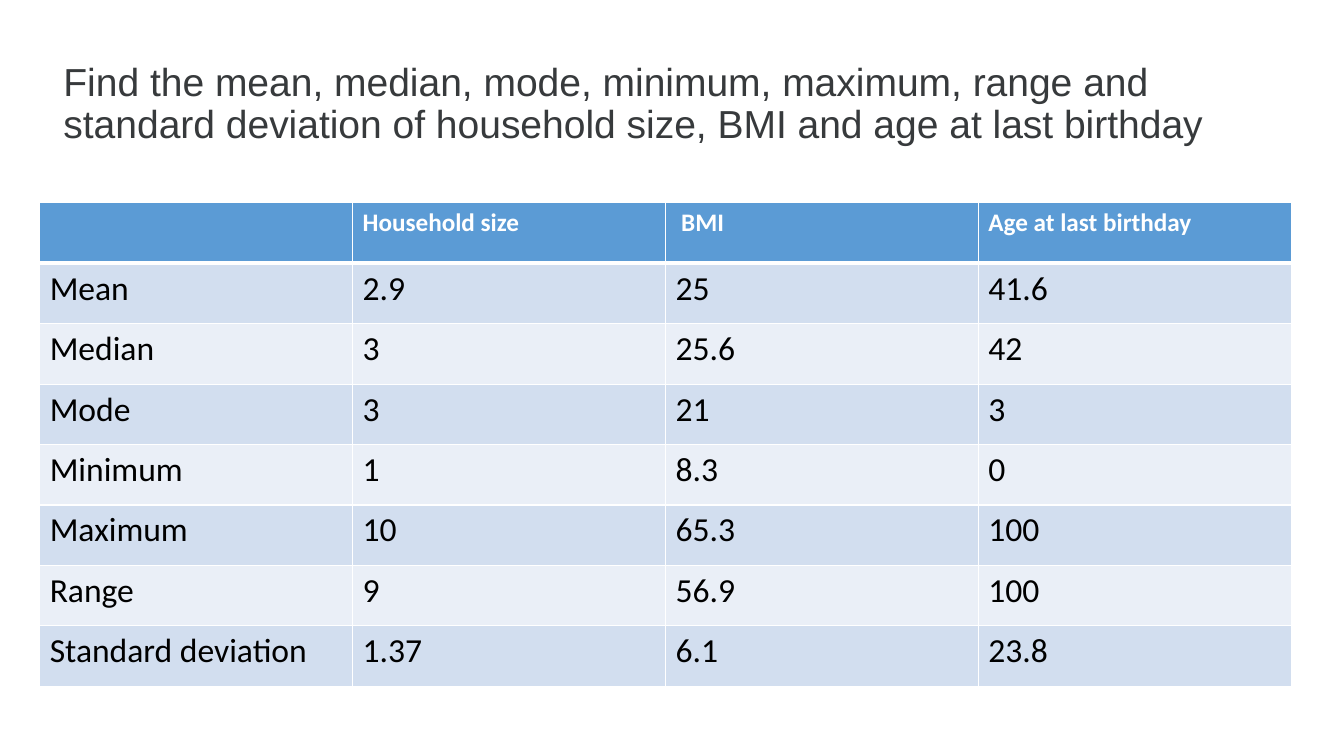
from dataclasses import dataclass

from pptx import Presentation
from pptx import util as u
from pptx.dml import color
from pptx.enum import text
from pptx.oxml import ns, xmlchemy


@dataclass(frozen=True)
class Theme:
    title_font: str = "Arial"
    table_font: str = "Calibri"
    title_size: float = 27.9
    header_size: float = 18
    body_size: float = 24
    title_ink: str = "373A3C"
    body_ink: str = "000000"
    white: str = "FFFFFF"
    header_fill: str = "5B9BD5"
    band_fills: tuple = ("D2DEEF", "EAEFF7")
    thin: float = 1
    thick: float = 3


THEME = Theme()
TITLE = ("Find the mean, median, mode, minimum, maximum, range and "
         "standard deviation of household size, BMI and age at last birthday")
STATISTICS = [
    ("", "Household size", " BMI", "Age at last birthday"),
    ("Mean", "2.9", "25", "41.6"),
    ("Median", "3", "25.6", "42"),
    ("Mode", "3", "21", "3"),
    ("Minimum", "1", "8.3", "0"),
    ("Maximum", "10", "65.3", "100"),
    ("Range", "9", "56.9", "100"),
    ("Standard deviation", "1.37", "6.1", "23.8"),
]


def add_span(para, words, font, size, ink, bold=False):
    span = para.add_run()
    span.text = words
    span.font.name = font
    span.font.size = u.Pt(size)
    span.font.bold = bold
    span.font.color.rgb = color.RGBColor.from_string(ink)


def add_title(page):
    box = page.shapes.add_textbox(u.Cm(1.35), u.Cm(0.81), u.Cm(31.19), u.Cm(3.68))
    frame = box.text_frame
    frame.word_wrap = True
    frame.vertical_anchor = text.MSO_ANCHOR.MIDDLE
    para = frame.paragraphs[0]
    para.line_spacing = 0.9
    add_span(para, TITLE, THEME.title_font, THEME.title_size, THEME.title_ink)


def add_border(cell, side, width):
    properties = cell._tc.get_or_add_tcPr()
    line = xmlchemy.OxmlElement(f"a:ln{side}")
    line.set("w", str(u.Pt(width)))
    fill = xmlchemy.OxmlElement("a:solidFill")
    ink = xmlchemy.OxmlElement("a:srgbClr")
    ink.set("val", THEME.white)
    fill.append(ink)
    line.append(fill)
    properties.append(line)


def style_cell(cell, row):
    top = THEME.thick if row == 1 else THEME.thin
    bottom = THEME.thick if row == 0 else THEME.thin
    for side, width in zip("LRTB", (THEME.thin, THEME.thin, top, bottom)):
        add_border(cell, side, width)
    fill = THEME.band_fills[(row - 1) % 2] if row else THEME.header_fill
    cell.fill.solid()
    cell.fill.fore_color.rgb = color.RGBColor.from_string(fill)


def add_statistics(page):
    rows, columns = len(STATISTICS), len(STATISTICS[0])
    table = page.shapes.add_table(
        rows, columns, u.Cm(1), u.Cm(5.11), u.Cm(31.54), u.Cm(12.19)).table
    for row, values in enumerate(STATISTICS):
        header = row == 0
        size = THEME.header_size if header else THEME.body_size
        ink = THEME.white if header else THEME.body_ink
        for column, value in enumerate(values):
            cell = table.cell(row, column)
            style_cell(cell, row)
            if value:
                add_span(cell.text_frame.paragraphs[0], value,
                         THEME.table_font, size, ink, header)


def main():
    deck = Presentation()
    deck.slide_width, deck.slide_height = u.Cm(33.87), u.Cm(19.05)
    page = deck.slides.add_slide(deck.slide_layouts[6])
    add_title(page)
    add_statistics(page)
    deck.save("out.pptx")


if __name__ == "__main__":
    main()
